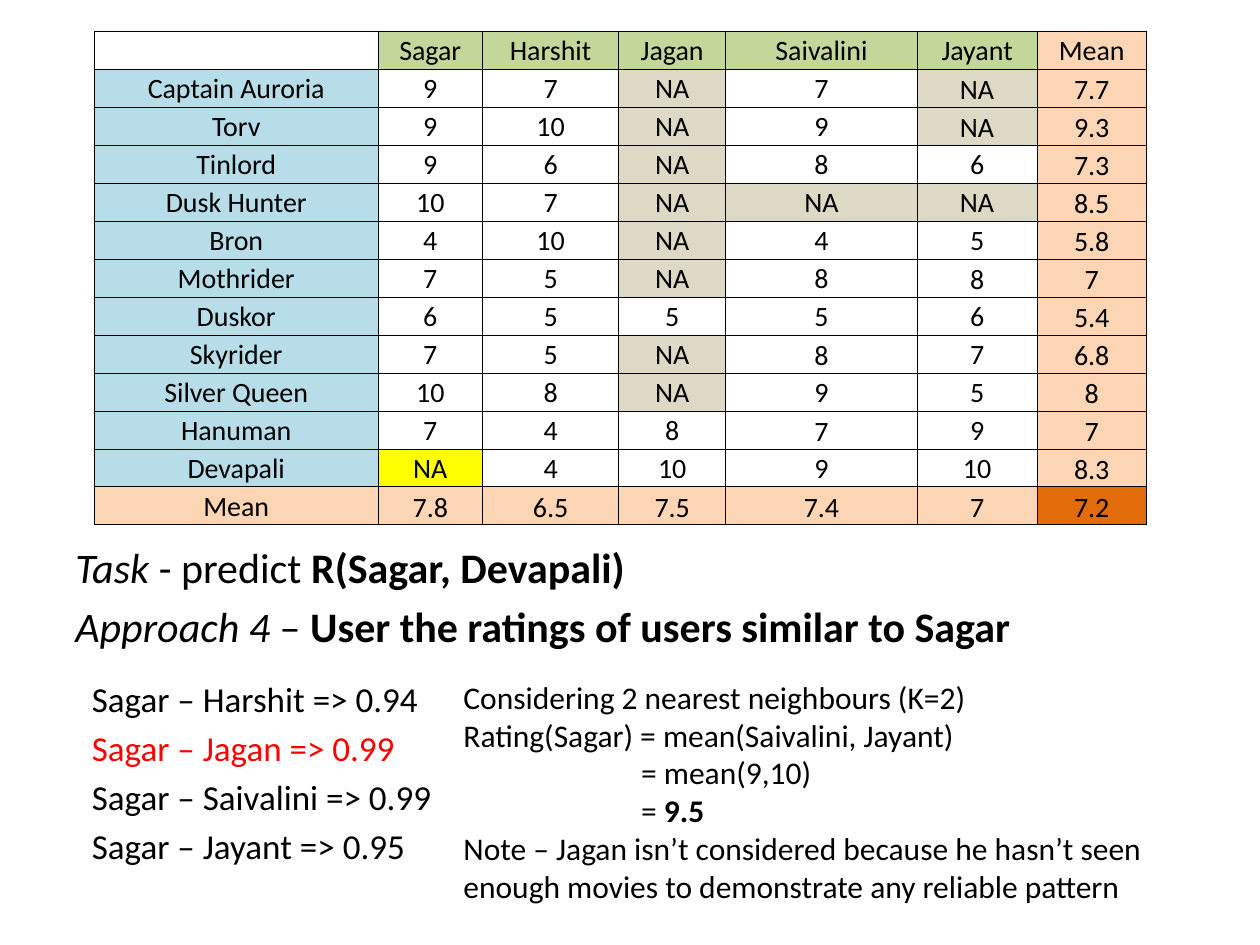
from lxml.etree import SubElement
from pptx import Presentation
from pptx.dml.color import RGBColor
from pptx.enum.text import MSO_ANCHOR, PP_ALIGN
from pptx.oxml.ns import qn
from pptx.util import Inches, Pt

COLORS = {
    "text": "000000", "highlight": "FF0000", "border": "000000",
    "user": "C4D79B", "movie": "B7DEE8", "mean": "FCD5B4",
    "overall": "E26B0A", "missing": "DDD9C4", "target": "FFFF00",
}

COLUMN_WIDTHS = [2.25, 0.83, 1.08, 0.85, 1.52, 0.95, 0.87]
RATINGS = [
    ["", "Sagar", "Harshit", "Jagan", "Saivalini", "Jayant", "Mean"],
    ["Captain Auroria", "9", "7", "NA", "7", "NA", "7.7"],
    ["Torv", "9", "10", "NA", "9", "NA", "9.3"],
    ["Tinlord", "9", "6", "NA", "8", "6", "7.3"],
    ["Dusk Hunter", "10", "7", "NA", "NA", "NA", "8.5"],
    ["Bron", "4", "10", "NA", "4", "5", "5.8"],
    ["Mothrider", "7", "5", "NA", "8", "8", "7"],
    ["Duskor", "6", "5", "5", "5", "6", "5.4"],
    ["Skyrider", "7", "5", "NA", "8", "7", "6.8"],
    ["Silver Queen", "10", "8", "NA", "9", "5", "8"],
    ["Hanuman", "7", "4", "8", "7", "9", "7"],
    ["Devapali", "NA", "4", "10", "9", "10", "8.3"],
    ["Mean", "7.8", "6.5", "7.5", "7.4", "7", "7.2"],
]
LAST_ROW = len(RATINGS) - 1
LAST_COLUMN = len(COLUMN_WIDTHS) - 1
TARGET = (11, 1)
BOTTOM_RATINGS = {(1, 5), (2, 5), (6, 5), (8, 4), (10, 4)}


def add_text(paragraph, text, size=18, color="text", bold=False, italic=False,
             font_name="Calibri"):
    """Add one formatted run to a paragraph."""
    run = paragraph.add_run()
    run.text = text
    run.font.name = font_name
    run.font.size = Pt(size)
    run.font.bold = bold
    run.font.italic = italic
    run.font.color.rgb = RGBColor.from_string(COLORS[color])


def cell_color(row, column):
    """Return the colour name of a rating cell, or None for no fill."""
    if (row, column) == (0, 0):
        return None
    if (row, column) == (LAST_ROW, LAST_COLUMN):
        return "overall"
    if row == LAST_ROW or column == LAST_COLUMN:
        return "mean"
    if (row, column) == TARGET:
        return "target"
    if row == 0:
        return "user"
    if column == 0:
        return "movie"
    return "missing" if RATINGS[row][column] == "NA" else None


def cell_anchor(row, column):
    """Return the vertical anchor of a rating cell."""
    is_mean = (row == LAST_ROW and column > 0) or (column == LAST_COLUMN and row > 0)
    if is_mean or (row, column) in BOTTOM_RATINGS:
        return MSO_ANCHOR.BOTTOM
    return MSO_ANCHOR.MIDDLE


def add_borders(cell, width=0.5):
    """Draw a thin line on all four sides of a cell."""
    properties = cell._tc.get_or_add_tcPr()
    for side in ("a:lnL", "a:lnR", "a:lnT", "a:lnB"):
        line = SubElement(properties, qn(side), w=str(Pt(width)))
        fill = SubElement(line, qn("a:solidFill"))
        SubElement(fill, qn("a:srgbClr"), val=COLORS["border"])


class SlideBuilder:
    """Holds the slide and the style of its elements."""

    table_size = 16

    def __init__(self, slide):
        """Keep the slide to build on."""
        self.slide = slide

    def text_box(self, left, top, width, height, lines, size, spacing=0):
        """Add a text box; each line is (indent, [(text, format), ...])."""
        shape = self.slide.shapes.add_textbox(
            Inches(left), Inches(top), Inches(width), Inches(height))
        frame = shape.text_frame
        frame.word_wrap = True
        for index, (indent, runs) in enumerate(lines):
            paragraph = frame.add_paragraph() if index else frame.paragraphs[0]
            paragraph.space_before = Pt(size * spacing)
            if indent:
                paragraph._p.get_or_add_pPr().set("marL", str(Inches(indent)))
            for text, text_format in runs:
                add_text(paragraph, text, size=size, **text_format)

    def rating_table(self, left, top, height):
        """Add the table of ratings."""
        table = self.slide.shapes.add_table(
            len(RATINGS), len(COLUMN_WIDTHS), Inches(left), Inches(top),
            Inches(sum(COLUMN_WIDTHS)), Inches(height)).table
        table.first_row = False
        table.horz_banding = False
        for column, width in zip(table.columns, COLUMN_WIDTHS):
            column.width = Inches(width)
        for row, values in enumerate(RATINGS):
            for column, value in enumerate(values):
                self.rating_cell(table.cell(row, column), value,
                                 cell_color(row, column), cell_anchor(row, column))

    def rating_cell(self, cell, value, color, anchor):
        """Fill in and format one cell."""
        cell.margin_left = cell.margin_right = cell.margin_top = Inches(0.01)
        cell.margin_bottom = 0
        cell.vertical_anchor = anchor
        add_borders(cell)
        if color:
            cell.fill.solid()
            cell.fill.fore_color.rgb = RGBColor.from_string(COLORS[color])
        else:
            cell.fill.background()
        paragraph = cell.text_frame.paragraphs[0]
        paragraph.alignment = PP_ALIGN.CENTER
        if value:
            add_text(paragraph, value, size=self.table_size)
        else:
            SubElement(paragraph._p, qn("a:endParaRPr"), sz=str(self.table_size * 100))


def main():
    """Build the slide and save it."""
    presentation = Presentation()
    presentation.slide_width = Inches(10)
    presentation.slide_height = Inches(7.5)
    builder = SlideBuilder(presentation.slides.add_slide(presentation.slide_layouts[6]))
    bold, italic = {"bold": True}, {"italic": True}

    builder.text_box(0.5, 4.25, 9, 1.08, [
        (0, [("Task", italic), (" - predict ", {}), ("R(Sagar, Devapali)", bold)]),
        (0, [("Approach 4", italic), (" – ", {}),
             ("User the ratings of users similar to Sagar", bold)]),
    ], size=24, spacing=0.2)

    similarities = [("Harshit", "0.94", "text"), ("Jagan", "0.99", "highlight"),
                    ("Saivalini", "0.99", "text"), ("Jayant", "0.95", "text")]
    builder.text_box(0.63, 5.33, 2.95, 1.81, [
        (0, [(f"Sagar – {user} => {score}", {"color": color})])
        for user, score, color in similarities
    ], size=20, spacing=0.2)

    builder.text_box(3.58, 5.33, 6.08, 1.92, [
        (0, [("Considering 2 nearest neighbours (K=2)", {})]),
        (0, [("Rating(Sagar) = mean(Saivalini, Jayant)", {})]),
        (1.41, [("= mean(9,10)", {})]),
        (1.41, [("= ", {}), ("9.5", bold)]),
        (0, [("Note – Jagan isn’t considered because he hasn’t seen enough "
              "movies to demonstrate any reliable pattern", {})]),
    ], size=18)

    builder.rating_table(0.75, 0.25, 3.92)
    presentation.save("out.pptx")


main()
